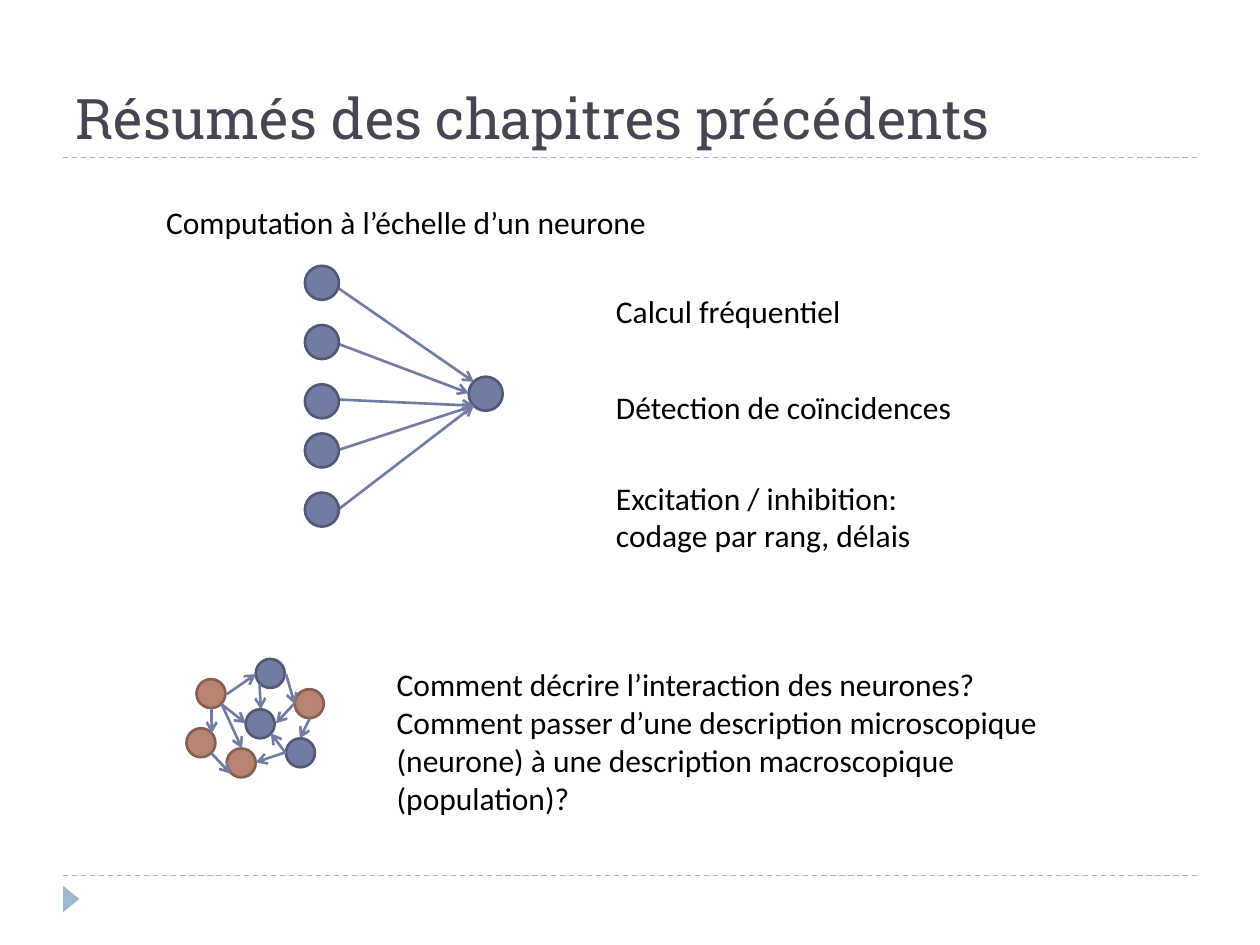
from lxml import etree
from pptx import Presentation
from pptx.dml.color import RGBColor
from pptx.enum.dml import MSO_LINE
from pptx.enum.shapes import MSO_CONNECTOR, MSO_SHAPE
from pptx.enum.text import MSO_ANCHOR, MSO_AUTO_SIZE, PP_ALIGN
from pptx.oxml.ns import qn
from pptx.util import Inches, Pt

STRAIGHT = MSO_CONNECTOR.STRAIGHT
OVAL = MSO_SHAPE.OVAL
TRIANGLE = MSO_SHAPE.ISOSCELES_TRIANGLE
DASH = MSO_LINE.DASH

TITLE_COLOR = RGBColor(0x46, 0x46, 0x53)
TEXT_COLOR = RGBColor(0x00, 0x00, 0x00)
RULE_COLOR = RGBColor(0x9F, 0xB8, 0xCD)
BLUE = RGBColor(0x72, 0x7C, 0xA3)
BLUE_EDGE = RGBColor(0x52, 0x59, 0x77)
BROWN = RGBColor(0xB8, 0x84, 0x72)
BROWN_EDGE = RGBColor(0x86, 0x5F, 0x52)

INPUT_LEFT = 2.42
INPUT_TOPS = [2.11, 2.58, 3.05, 3.44, 3.91]
INPUT_SIZE = 0.27
SYNAPSES = [
    ((2.66, 2.27), (3.76, 3.03)),
    ((2.66, 2.72), (3.72, 3.12)),
    ((2.66, 3.17), (3.76, 3.22)),
    ((2.69, 3.57), (3.76, 3.22)),
    ((2.69, 4.04), (3.76, 3.22)),
]

POPULATION_SIZE = 0.23
BLUE_POPULATION = [(2.03, 5.23), (2.27, 5.86), (1.95, 5.63)]
BROWN_POPULATION = [(1.56, 5.39), (1.8, 5.94), (1.48, 5.78), (2.34, 5.47)]
POPULATION_LINKS = [
    ((1.68, 5.62), (1.68, 5.82)),
    ((1.76, 5.59), (1.92, 5.94)),
    ((1.8, 5.51), (2.03, 5.35)),
    ((1.76, 5.59), (1.95, 5.74)),
    ((2.06, 5.43), (2.07, 5.63)),
    ((2.27, 5.35), (2.34, 5.59)),
    ((2.27, 5.97), (2.03, 6.05)),
    ((1.68, 5.98), (1.83, 6.14)),
    ((2.34, 5.58), (2.19, 5.74)),
    ((2.46, 5.7), (2.38, 5.86)),
    ((2.27, 5.98), (2.15, 5.82)),
]

# left, top, width, height, wraps, text
LABELS = [
    (1.22, 1.56, 4.58, 0.4, False, "Computation à l’échelle d’un neurone"),
    (4.79, 2.27, 2.26, 0.4, False, "Calcul fréquentiel"),
    (4.79, 3.03, 3.26, 0.4, False, "Détection de coïncidences"),
    (4.79, 3.75, 2.95, 0.7, False,
     "Excitation / inhibition:\ncodage par rang, délais"),
    (3.05, 5.23, 6.02, 1.3, True,
     "Comment décrire l’interaction des neurones?\n"
     "Comment passer d’une description microscopique (neurone) "
     "à une description macroscopique (population)?"),
]


def style_text(frame, font_name, size, color):
    for paragraph in frame.paragraphs:
        paragraph.alignment = PP_ALIGN.LEFT
        for run in paragraph.runs:
            run.font.name = font_name
            run.font.size = Pt(size)
            run.font.color.rgb = color


def set_title(slide, text):
    title = slide.shapes.title
    title.left, title.top = Inches(0.5), Inches(0.17)
    title.width, title.height = Inches(9), Inches(1.08)
    frame = title.text_frame
    frame.text = text
    frame.vertical_anchor = MSO_ANCHOR.BOTTOM
    frame.auto_size = MSO_AUTO_SIZE.NONE
    style_text(frame, "Roboto Slab", 32, TITLE_COLOR)


def add_label(slide, left, top, width, height, wraps, text):
    box = slide.shapes.add_textbox(
        Inches(left), Inches(top), Inches(width), Inches(height))
    frame = box.text_frame
    frame.text = text
    frame.word_wrap = wraps
    frame.auto_size = MSO_AUTO_SIZE.SHAPE_TO_FIT_TEXT
    style_text(frame, "Calibri", 18, TEXT_COLOR)


def add_line(slide, start, end, color, width):
    line = slide.shapes.add_connector(
        STRAIGHT, *(Inches(value) for value in (*start, *end)))
    line.line.color.rgb = color
    line.line.width = Pt(width)
    etree.SubElement(line._element.spPr, qn("a:effectLst"))
    return line


def add_rule(slide, y):
    rule = add_line(slide, (0.5, y), (9.5, y), RULE_COLOR, 0.75)
    rule.line.dash_style = DASH


def add_arrow(slide, start, end):
    arrow = add_line(slide, start, end, BLUE, 1.5)
    etree.SubElement(arrow.line._get_or_add_ln(), qn("a:tailEnd"), type="arrow")


def add_neuron(slide, left, top, size, fill, edge):
    neuron = slide.shapes.add_shape(
        OVAL, Inches(left), Inches(top), Inches(size), Inches(size))
    neuron.shadow.inherit = False
    neuron.fill.solid()
    neuron.fill.fore_color.rgb = fill
    neuron.line.color.rgb = edge
    neuron.line.width = Pt(1.5)


def add_footer_marker(slide):
    marker = slide.shapes.add_shape(
        TRIANGLE, Inches(0.46), Inches(7.07), Inches(0.21), Inches(0.13))
    marker.rotation = 90
    marker.shadow.inherit = False
    marker.fill.solid()
    marker.fill.fore_color.rgb = RULE_COLOR
    marker.line.fill.background()


def add_single_neuron_diagram(slide):
    add_neuron(slide, 3.72, 2.99, INPUT_SIZE, BLUE, BLUE_EDGE)
    for start, end in SYNAPSES:
        add_arrow(slide, start, end)
    for top in INPUT_TOPS:
        add_neuron(slide, INPUT_LEFT, top, INPUT_SIZE, BLUE, BLUE_EDGE)


def add_population_diagram(slide):
    for left, top in BROWN_POPULATION:
        add_neuron(slide, left, top, POPULATION_SIZE, BROWN, BROWN_EDGE)
    for left, top in BLUE_POPULATION:
        add_neuron(slide, left, top, POPULATION_SIZE, BLUE, BLUE_EDGE)
    for start, end in POPULATION_LINKS:
        add_arrow(slide, start, end)


def main():
    prs = Presentation()
    prs.slide_width, prs.slide_height = Inches(10), Inches(7.5)
    slide = prs.slides.add_slide(prs.slide_layouts[5])
    for y in (6.95, 1.25):
        add_rule(slide, y)
    add_footer_marker(slide)
    set_title(slide, "Résumés des chapitres précédents")
    add_single_neuron_diagram(slide)
    add_population_diagram(slide)
    for label in LABELS:
        add_label(slide, *label)
    prs.save("out.pptx")


if __name__ == "__main__":
    main()
